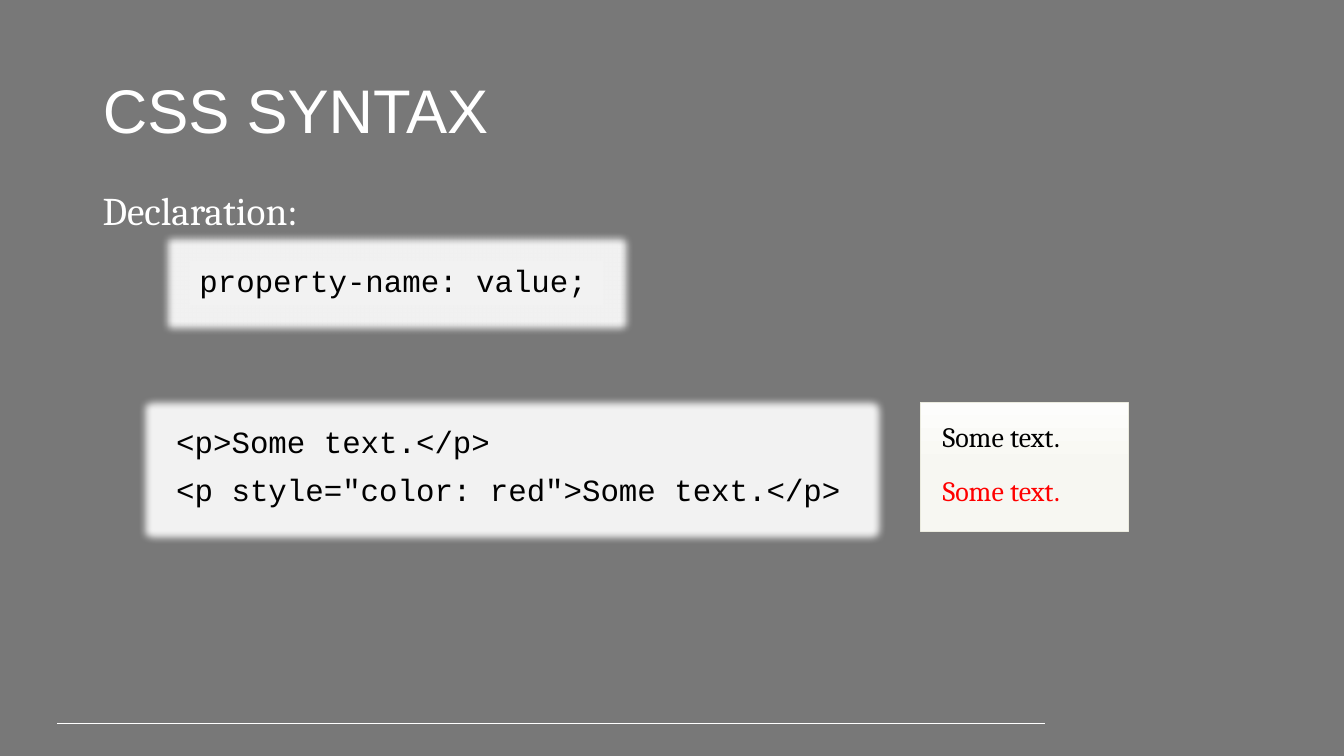
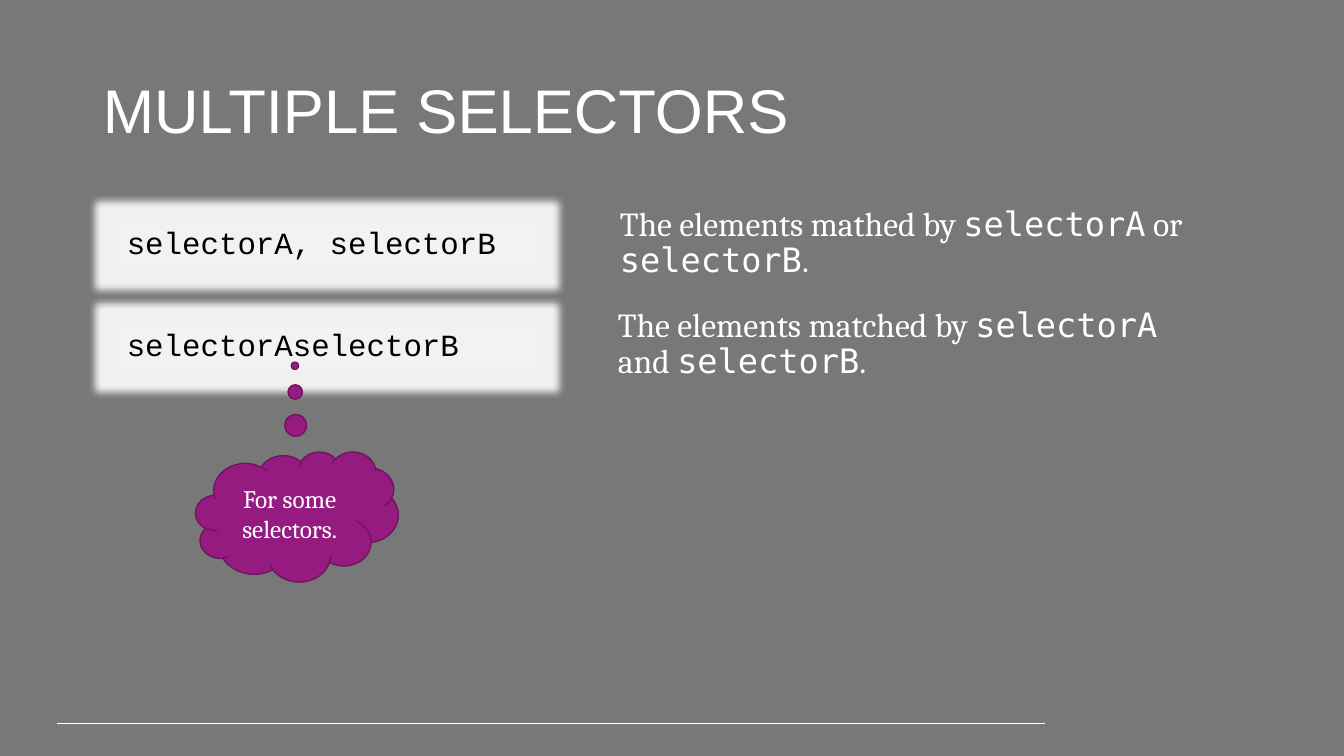
"""Build two slides on CSS syntax and selectors."""
from dataclasses import dataclass

from lxml import etree
from pptx import Presentation
from pptx.dml.color import RGBColor
from pptx.enum.shapes import MSO_CONNECTOR, MSO_SHAPE
from pptx.enum.text import MSO_ANCHOR, MSO_AUTO_SIZE, PP_ALIGN
from pptx.oxml.ns import qn
from pptx.util import Emu, Pt

PX = 9144

RECT, CLOUD = MSO_SHAPE.RECTANGLE, MSO_SHAPE.CLOUD_CALLOUT
STRAIGHT = MSO_CONNECTOR.STRAIGHT
TOP, MIDDLE = MSO_ANCHOR.TOP, MSO_ANCHOR.MIDDLE
GROW, FIXED = MSO_AUTO_SIZE.SHAPE_TO_FIT_TEXT, MSO_AUTO_SIZE.NONE
LEFT, CENTER = PP_ALIGN.LEFT, PP_ALIGN.CENTER

GRAY = RGBColor(0x78, 0x78, 0x78)
WHITE = RGBColor(0xFF, 0xFF, 0xFF)
BLACK = RGBColor(0x00, 0x00, 0x00)
RED = RGBColor(0xFF, 0x00, 0x00)
PALE = RGBColor(0xF2, 0xF2, 0xF2)
PURPLE = RGBColor(0x96, 0x1B, 0x81)
PLUM = RGBColor(0x6F, 0x14, 0x5F)
CREAM_TOP = RGBColor(0xFD, 0xFD, 0xFC)
CREAM = RGBColor(0xF7, 0xF7, 0xF2)
CREAM_EDGE = RGBColor(0xEB, 0xEB, 0xDF)

SANS, SERIF, CODE, MONO = "Arial", "Cambria", "Courier New", "DejaVu Sans Mono"
GLOW_RADIUS = 15


@dataclass(frozen=True)
class Box:
    x: int
    y: int
    w: int
    h: int

    def emu(self) -> tuple:
        return tuple(Emu(v * PX) for v in (self.x, self.y, self.w, self.h))


@dataclass(frozen=True)
class Run:
    text: str
    font: str = SERIF


@dataclass(frozen=True)
class Style:
    size: int
    color: RGBColor = WHITE
    spacing: float = 0.9
    before: int = 10
    align: PP_ALIGN = LEFT
    anchor: MSO_ANCHOR = TOP
    fit: MSO_AUTO_SIZE = GROW


TITLE = Style(44, before=0, anchor=MIDDLE, fit=FIXED)
HEADING = Style(28)
BODY = Style(24)
CODE_TEXT = Style(22, BLACK)
SAMPLE = Style(20, BLACK, 1.0, 0)
SAMPLE_RED = Style(20, RED, 1.0, 0)
THOUGHT = Style(18, spacing=1.0, before=0, align=CENTER, anchor=MIDDLE, fit=FIXED)

TITLE_BOX = Box(92, 40, 1150, 145)


def assign(target, values: dict) -> None:
    for name, value in values.items():
        setattr(target, name, value)


def write(s, paragraphs: list[list[Run]], style: Style) -> None:
    tf = s.text_frame
    assign(tf, {"word_wrap": True, "auto_size": style.fit,
                "vertical_anchor": style.anchor})
    for i, runs in enumerate(paragraphs):
        p = tf.add_paragraph() if i else tf.paragraphs[0]
        assign(p, {"alignment": style.align, "line_spacing": style.spacing,
                   "space_before": Pt(style.before)})
        for run in runs:
            r = p.add_run()
            r.text = run.text
            assign(r.font, {"name": run.font, "size": Pt(style.size)})
            r.font.color.rgb = style.color


def add_text(slide, box: Box, runs: list[Run], style: Style) -> None:
    write(slide.shapes.add_textbox(*box.emu()), [runs], style)


def add_shape(slide, kind: MSO_SHAPE, box: Box):
    s = slide.shapes.add_shape(kind, *box.emu())
    s.shadow.inherit = False
    return s


def add_code(slide, box: Box, lines: list[str]) -> None:
    s = add_shape(slide, RECT, box)
    s.fill.solid()
    s.fill.fore_color.rgb = PALE
    s.line.fill.background()
    effects = s.element.spPr.find(qn("a:effectLst"))
    glow = etree.SubElement(effects, qn("a:glow"), rad=str(GLOW_RADIUS * PX))
    etree.SubElement(glow, qn("a:srgbClr"), val=str(PALE))
    write(s, [[Run(line, CODE)] for line in lines], CODE_TEXT)


def add_preview(slide, box: Box) -> None:
    s = add_shape(slide, RECT, box)
    s.fill.gradient()
    s.fill.gradient_angle = 270
    stops = zip(s.fill.gradient_stops, (0, 0.5), (CREAM_TOP, CREAM))
    for stop, position, color in stops:
        stop.position = position
        stop.color.rgb = color
    s.line.color.rgb = CREAM_EDGE
    s.line.width = Pt(0.5)


def add_thought(slide, box: Box, text: str) -> None:
    s = add_shape(slide, CLOUD, box)
    s.adjustments[0], s.adjustments[1] = -0.01, -1.16
    s.fill.solid()
    s.fill.fore_color.rgb = PURPLE
    s.line.color.rgb = PLUM
    s.line.width = Pt(1)
    write(s, [[Run(text)]], THOUGHT)


def add_slide(prs, title: str):
    slide = prs.slides.add_slide(prs.slide_layouts.get_by_name("Title Only"))
    rule = slide.shapes.add_connector(
        STRAIGHT, *(Emu(v * PX) for v in (57, 718, 1036, 718)))
    rule.line.color.rgb = WHITE
    rule.line.width = Pt(0.75)
    etree.SubElement(rule.element.spPr, qn("a:effectLst"))
    s = slide.shapes.title
    assign(s, dict(zip(("left", "top", "width", "height"), TITLE_BOX.emu())))
    write(s, [[Run(title, SANS)]], TITLE)
    return slide


def build_syntax(prs) -> None:
    slide = add_slide(prs, "CSS SYNTAX")
    add_text(slide, Box(92, 185, 506, 54), [Run("Declaration:")], HEADING)
    add_code(slide, Box(188, 259, 410, 44), ["property-name: value;"])
    add_code(slide, Box(165, 419, 684, 91),
             ["<p>Some text.</p>", '<p style="color: red">Some text.</p>'])
    add_preview(slide, Box(913, 399, 206, 128))
    for i, style in enumerate((SAMPLE, SAMPLE_RED)):
        add_text(slide, Box(925, 411 + 54 * i, 172, 44),
                 [Run("Some text.")], style)


def build_selectors(prs) -> None:
    slide = add_slide(prs, "MULTIPLE SELECTORS")
    rows = (("selectorA, selectorB", "mathed", "or", 605),
            ("selectorAselectorB", "matched", "and", 603))
    for i, (code, verb, joiner, x) in enumerate(rows):
        add_code(slide, Box(116, 221 + 101 * i, 416, 44), [code])
        add_text(slide, Box(x, 201 + 100 * i, 600, 84),
                 [Run(f"The elements {verb} by "), Run("selectorA", MONO),
                  Run(f" {joiner} "), Run("selectorB", MONO), Run(".")], BODY)
    add_thought(slide, Box(194, 448, 201, 129), "For some selectors.")


def main() -> None:
    prs = Presentation()
    assign(prs, {"slide_width": Emu(1333 * PX), "slide_height": Emu(750 * PX)})
    fill = prs.slide_master.background.fill
    fill.solid()
    fill.fore_color.rgb = GRAY
    build_syntax(prs)
    build_selectors(prs)
    prs.save("out.pptx")


if __name__ == "__main__":
    main()
